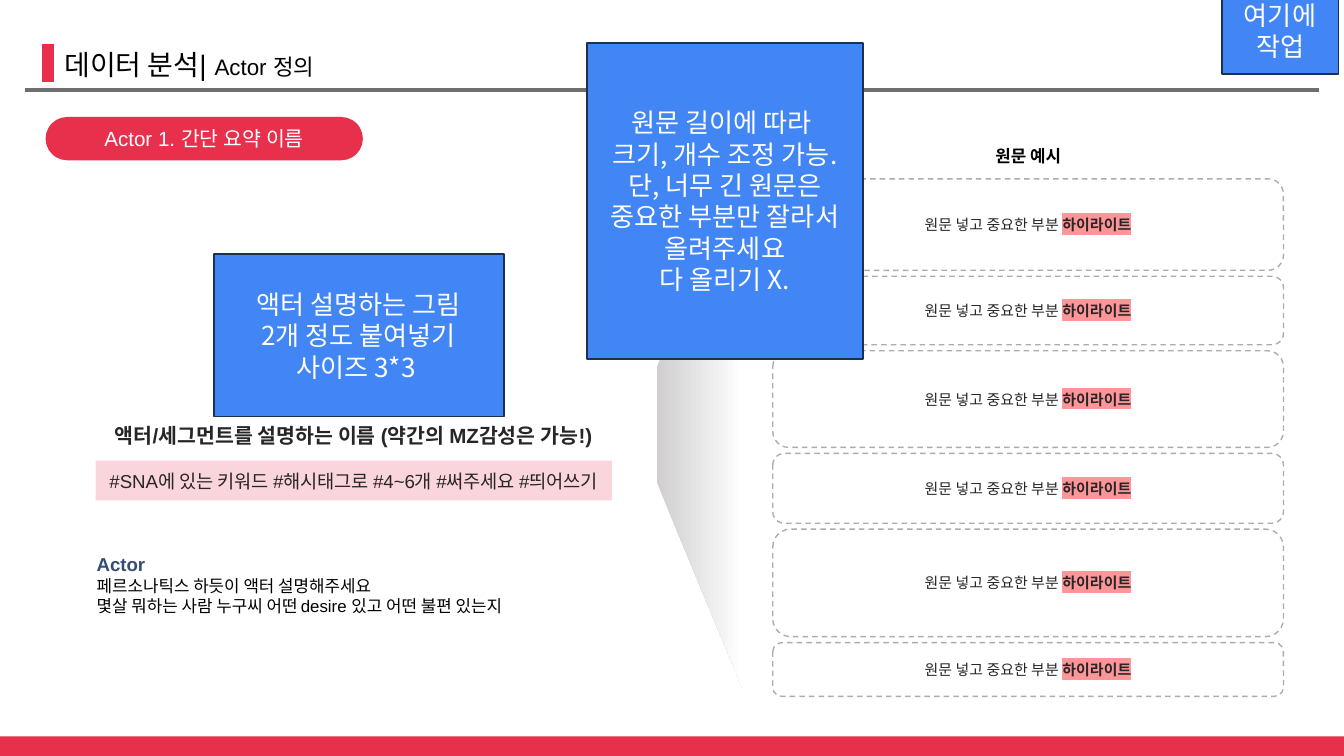
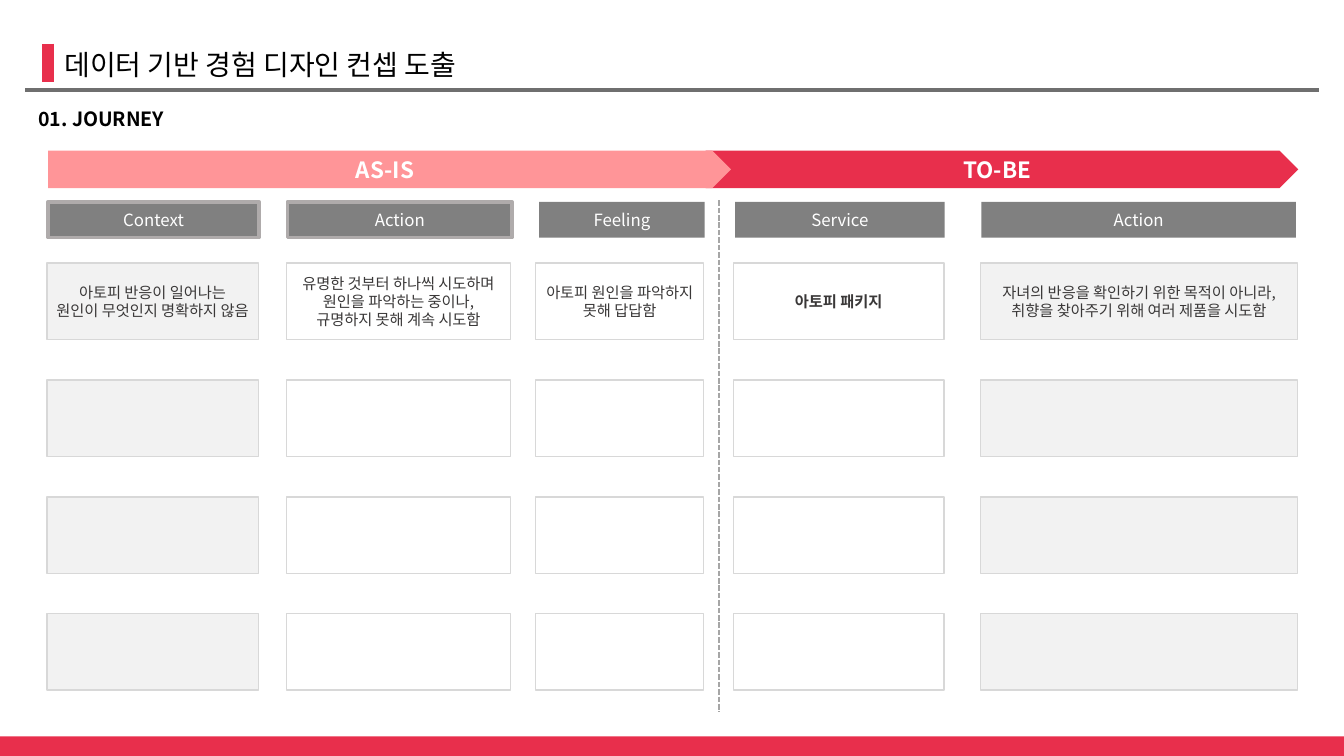
from lxml import etree
from pptx import Presentation
from pptx.dml import color
from pptx.enum import dml, shapes, text
from pptx.oxml import ns
from pptx.util import Pt

C = {
    "red": "E82F4C", "pink": "FF9598", "rule": "6F6F6F", "white": "FFFFFF",
    "black": "000000", "ink": "262626", "navy": "344D75", "note": "4285F4",
    "note_line": "1C3052", "dash": "AEABAB", "beam": "D0CECE", "head": "808080",
    "head_line": "AFABAB", "cell": "F2F2F2", "cell_line": "D8D8D8",
    "cell_ink": "3A3838", "divider": "A6A6A6",
}
ARIAL, NOTO = "Arial", "Noto Sans CJK KR"
S, AL = shapes.MSO_SHAPE, text.PP_ALIGN
INSETS, WIDE_INSETS = (5, 2.6), (7.2, 3.6)

ACTOR_TITLE = [("데이터 분석| ", {}), ("Actor 정의", {"size": 12})]
ACTOR_TAG = "Actor 1. 간단 요약 이름"
ACTOR_NAME = "액터/세그먼트를 설명하는 이름 (약간의 MZ감성은 가능!)"
KEYWORDS = "#SNA에 있는 키워드 #해시태그로 #4~6개 #써주세요 #띄어쓰기"
PERSONA = [
    [("Actor", {"size": 10, "ink": "navy", "bold": True})],
    "페르소나틱스 하듯이 액터 설명해주세요",
    "몇살 뭐하는 사람 누구씨 어떤 desire 있고 어떤 불편 있는지",
]
QUOTES_TITLE = "원문 예시"
QUOTE = [("원문 넣고 중요한 부분 ", {}), ("하이라이트", {"bold": True, "mark": "pink"})]
QUOTE_HEIGHTS = [49, 36.7, 51.8, 37.4, 57.6, 28.8]
QUOTE_TOP, QUOTE_GAP = 95.8, 3.2
NOTES = [
    ((114.5, 136.1, 155.5, 87.1),
     ["액터 설명하는 그림", "2개 정도 붙여넣기", "사이즈 3*3 "]),
    ((654.5, -6.5, 62.6, 46.1), ["여기에 작업"]),
    ((314.6, 23, 147.6, 169.2),
     ["원문 길이에 따라 \v크기, 개수 조정 가능.",
      "단, 너무 긴 원문은\v중요한 부분만 잘라서\v올려주세요\v다 올리기 X."]),
]

JOURNEY_TITLE = "데이터 기반 경험 디자인 컨셉 도출"
JOURNEY_HEADING = "01. JOURNEY"
PHASES = [("TO-BE", 378, 317.5, "red"), ("AS-IS", 25.8, 365.8, "pink")]
COLUMNS = [
    {"head": "Context", "head_at": (25.8, 113), "head_line": ("head_line", 2),
     "cell_at": (25.1, 113.3), "fill": "cell",
     "body": ["아토피 반응이 일어나는", "원인이 무엇인지 명확하지 않음"]},
    {"head": "Action", "head_at": (154.1, 120.2), "head_line": ("head_line", 2),
     "cell_at": (153.4, 120.2), "fill": "white",
     "body": ["유명한 것부터 하나씩 시도하며\v원인을 파악하는 중이나,\v규명하지 못해 계속 시도함"]},
    {"head": "Feeling", "head_at": (288.9, 88.6),
     "cell_at": (287, 90), "body": ["아토피 원인을 파악하지 못해 답답함"]},
    {"head": "Service", "head_at": (393.8, 112.3),
     "cell_at": (393, 112.7), "body": ["아토피 패키지"], "bold": True},
    {"head": "Action", "head_at": (525.8, 168.5),
     "cell_at": (525.4, 169.7), "fill": "cell",
     "body": ["자녀의 반응을 확인하기 위한 목적이 아니라,\v취향을 찾아주기 위해 여러 제품을 시도함"]},
]
ROWS, ROW_TOP, ROW_PITCH, ROW_HEIGHT = 4, 141, 62.6, 41


def rgb(name):
    return color.RGBColor.from_string(C[name])


def style_run(r, size, ink, font=ARIAL, bold=False, mark=None):
    r.font.size, r.font.bold, r.font.name = Pt(size), bold, font
    r.font.color.rgb = rgb(ink)
    rpr = r.font._element
    etree.SubElement(rpr, ns.qn("a:ea")).set("typeface", NOTO)
    if mark:
        hl = etree.Element(ns.qn("a:highlight"))
        etree.SubElement(hl, ns.qn("a:srgbClr")).set("val", C[mark])
        rpr.find(ns.qn("a:solidFill")).addnext(hl)


def write(sp, paragraphs, align=AL.CENTER, anchor=text.MSO_ANCHOR.MIDDLE,
          insets=INSETS, **style):
    tf = sp.text_frame
    tf.word_wrap, tf.vertical_anchor = True, anchor
    tf.margin_left = tf.margin_right = Pt(insets[0])
    tf.margin_top = tf.margin_bottom = Pt(insets[1])
    for i, content in enumerate(paragraphs):
        p = tf.add_paragraph() if i else tf.paragraphs[0]
        p.alignment = align
        if isinstance(content, str):
            p.text = content
            for r in p.runs:
                style_run(r, **style)
        else:
            for words, change in content:
                r = p.add_run()
                r.text = words
                style_run(r, **{**style, **change})


def add_label(slide, at, paragraphs, **style):
    sp = slide.shapes.add_textbox(*map(Pt, at))
    write(sp, paragraphs, anchor=text.MSO_ANCHOR.TOP, **style)


def add_box(slide, at, fill=None, line=None, kind=S.RECTANGLE, dash=None):
    sp = slide.shapes.add_shape(kind, *map(Pt, at))
    sp.shadow.inherit = False
    if fill:
        sp.fill.solid()
        sp.fill.fore_color.rgb = rgb(fill)
    else:
        sp.fill.background()
    if line:
        sp.line.color.rgb, sp.line.width = rgb(line[0]), Pt(line[1])
        if dash:
            sp.line.dash_style = dash
    else:
        sp.line.fill.background()
    return sp


def add_line(slide, x1, y1, x2, y2, ink, width, dash=None):
    ln = slide.shapes.add_connector(shapes.MSO_CONNECTOR.STRAIGHT, *map(Pt, (x1, y1, x2, y2)))
    ln.line.color.rgb, ln.line.width = rgb(ink), Pt(width)
    if dash:
        ln.line.dash_style = dash
    etree.SubElement(ln._element.spPr, ns.qn("a:effectLst"))


def add_frame(prs, title, font):
    slide = prs.slides.add_slide(prs.slide_layouts[6])
    add_line(slide, 13.5, 48.2, 706.5, 48.2, "rule", 2.25)
    add_line(slide, 25.7, 23.4, 25.7, 43.9, "red", 6)
    add_box(slide, (0, 394.5, 720.5, 10.5), "red")
    add_label(slide, (29.5, 23, 533.5, 23.8), [title], align=AL.LEFT,
              size=15, ink="black", font=font)
    return slide


def build_actor(prs):
    slide = add_frame(prs, ACTOR_TITLE, ARIAL)

    tag = add_box(slide, (24.4, 62.7, 170, 23.2), "red", kind=S.ROUNDED_RECTANGLE)
    tag.adjustments[0] = 0.5
    write(tag, [ACTOR_TAG], size=11, ink="white")

    band = add_box(slide, (51.2, 246.8, 276.6, 21.3), "red")
    tint = band.fill._xPr.find(".//" + ns.qn("a:srgbClr"))
    etree.SubElement(tint, ns.qn("a:alpha")).set("val", "20000")
    write(band, [KEYWORDS], size=10, ink="ink")

    add_label(slide, (0.7, 223.9, 377.3, 18.7), [ACTOR_NAME], size=11, ink="ink", bold=True)
    add_label(slide, (46.8, 293.8, 319, 39.6), PERSONA, align=AL.JUSTIFY, size=9, ink="black")

    beam = add_box(slide, (233.3, 204.5, 283, 46), kind=S.TRAPEZOID)
    beam.rotation, beam.adjustments[0] = 270, 2.41
    beam.fill.gradient()
    beam.fill.gradient_angle = 270
    for stop, ink, pos in zip(beam.fill.gradient_stops, ("beam", "white"), (0, 1)):
        stop.color.rgb, stop.position = rgb(ink), pos

    add_label(slide, (464.4, 75.6, 172.8, 16.6), [QUOTES_TITLE], size=9, ink="black", bold=True)
    top = QUOTE_TOP
    for height in QUOTE_HEIGHTS:
        sp = add_box(slide, (414, top, 273.6, height), line=("dash", 0.75),
                     kind=S.ROUNDED_RECTANGLE, dash=dml.MSO_LINE.DASH)
        write(sp, [QUOTE], size=8, ink="ink")
        top += height + QUOTE_GAP

    for at, lines in NOTES:
        sp = add_box(slide, at, "note", ("note_line", 1))
        write(sp, lines, size=14, ink="white", font=NOTO)


def build_journey(prs):
    slide = add_frame(prs, JOURNEY_TITLE, NOTO)
    add_label(slide, (13.5, 54, 291.6, 20.2), [JOURNEY_HEADING], align=AL.LEFT,
              insets=WIDE_INSETS, size=10.5, ink="black", font=NOTO, bold=True)
    for name, left, width, fill in PHASES:
        sp = add_box(slide, (left, 80.8, width, 20), fill, kind=S.PENTAGON)
        write(sp, [name], insets=WIDE_INSETS, size=12, ink="white", font=NOTO, bold=True)
    for col in COLUMNS:
        left, width = col["head_at"]
        sp = add_box(slide, (left, 108.1, width, 19.2), "head", col.get("head_line"))
        write(sp, [col["head"]], size=9, ink="white", font=NOTO)
        left, width = col["cell_at"]
        for row in range(ROWS):
            sp = add_box(slide, (left, ROW_TOP + row * ROW_PITCH, width, ROW_HEIGHT),
                         col.get("fill"), ("cell_line", 0.75))
            if row == 0:
                write(sp, col["body"], size=8.2, ink="cell_ink", font=NOTO,
                      bold=col.get("bold", False))
    add_line(slide, 385.2, 107.3, 385.2, 381.6, "divider", 1, dml.MSO_LINE.SQUARE_DOT)


def main():
    prs = Presentation()
    prs.slide_width, prs.slide_height = Pt(720), Pt(405)
    build_actor(prs)
    build_journey(prs)
    prs.save("out.pptx")


if __name__ == "__main__":
    main()
